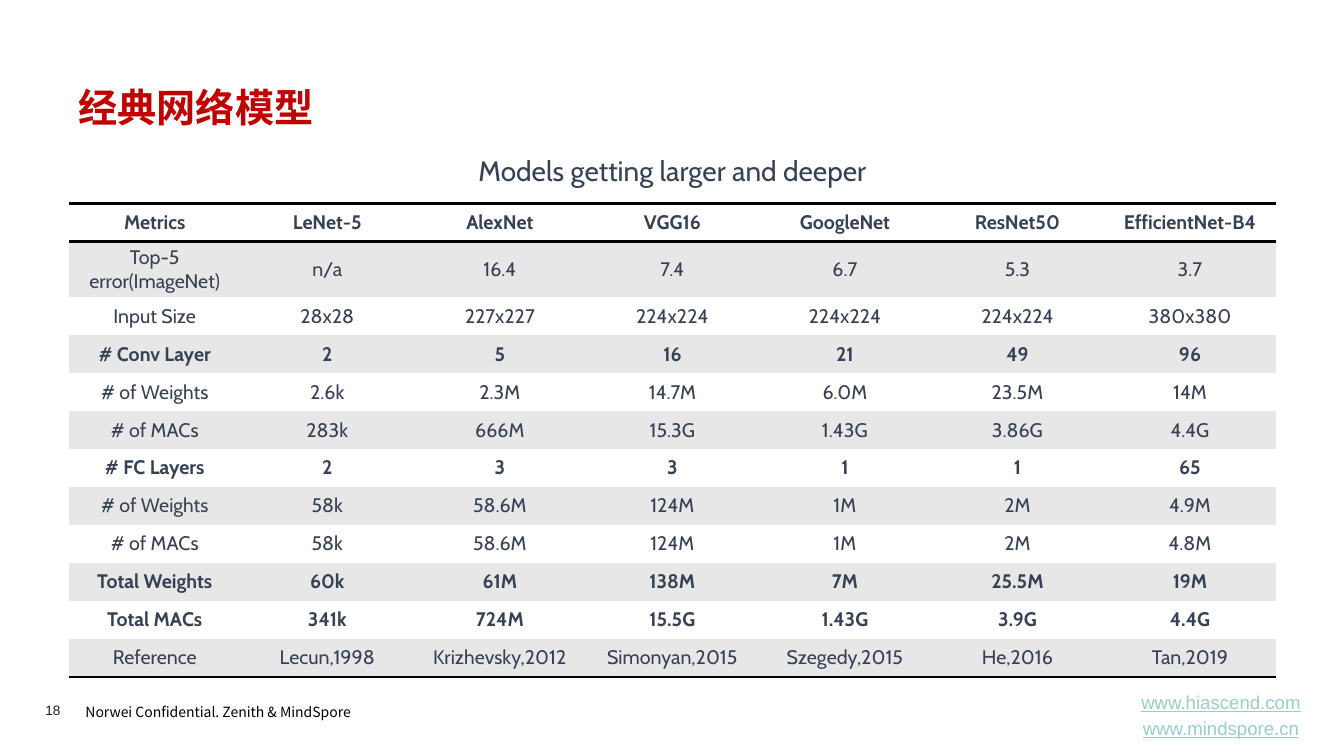
from lxml import etree
from pptx import Presentation
from pptx.dml.color import RGBColor
from pptx.enum.text import MSO_ANCHOR as Anchor, MSO_AUTO_SIZE as AutoSize, PP_ALIGN as Align
from pptx.oxml.ns import qn
from pptx.util import Inches, Pt

INK, BLACK = "374154", "000000"
NO_STYLE = "{2D5ABB26-0587-4C30-8999-92F81FD0307C}"
LEFT, WIDTH = 0.68, 11.99

METRICS = [
    ["Metrics", "LeNet-5", "AlexNet", "VGG16", "GoogleNet", "ResNet50", "EfficientNet-B4"],
    ["Top-5 error(ImageNet)", "n/a", "16.4", "7.4", "6.7", "5.3", "3.7"],
    ["Input Size", "28x28", "227x227", "224x224", "224x224", "224x224", "380x380"],
    ["# Conv Layer", "2", "5", "16", "21", "49", "96"],
    ["# of Weights", "2.6k", "2.3M", "14.7M", "6.0M", "23.5M", "14M"],
    ["# of MACs", "283k", "666M", "15.3G", "1.43G", "3.86G", "4.4G"],
    ["# FC Layers", "2", "3", "3", "1", "1", "65"],
    ["# of Weights", "58k", "58.6M", "124M", "1M", "2M", "4.9M"],
    ["# of MACs", "58k", "58.6M", "124M", "1M", "2M", "4.8M"],
    ["Total Weights", "60k", "61M", "138M", "7M", "25.5M", "19M"],
    ["Total MACs", "341k", "724M", "15.5G", "1.43G", "3.9G", "4.4G"],
    ["Reference", "Lecun,1998", "Krizhevsky,2012", "Simonyan,2015", "Szegedy,2015", "He,2016", "Tan,2019"],
]
BOLD_ROWS = {"Metrics", "# Conv Layer", "# FC Layers", "Total Weights", "Total MACs"}
RULES = {0: ["a:lnT", "a:lnB"], len(METRICS) - 1: ["a:lnB"]}


def style(paragraph, font_name, size, color, bold=False, align=Align.LEFT):
    paragraph.alignment = align
    font = paragraph.font
    font.name, font.size, font.bold = font_name, Pt(size), bold
    font.color.rgb = RGBColor.from_string(color)


def add_rule(cell, side):
    """Draw a 2 pt black border on one side of a cell that is already filled."""
    props = cell._tc.get_or_add_tcPr()
    line = etree.Element(qn(side), w=str(Pt(2)))
    fill = etree.SubElement(line, qn("a:solidFill"))
    etree.SubElement(fill, qn("a:srgbClr"), val=BLACK)
    props.insert(len(props) - 1, line)


prs = Presentation()
prs.slide_width, prs.slide_height = Inches(13.34), Inches(7.5)
slide = prs.slides.add_slide(prs.slide_layouts[1])

# Title and subtitle
title, subtitle = slide.shapes.title, slide.placeholders[1]
for holder, top, text, anchor in [
    (title, 0.74, "经典网络模型", Anchor.MIDDLE),
    (subtitle, 1.31, "Models getting larger and deeper", Anchor.TOP),
]:
    holder.left, holder.top = Inches(LEFT), Inches(top)
    holder.width, holder.height = Inches(WIDTH), Inches(0.64)
    frame = holder.text_frame
    frame.text = text
    frame.auto_size, frame.vertical_anchor = AutoSize.NONE, anchor

style(title.text_frame.paragraphs[0], "Quicksand", 28, "C00000", bold=True)
tagline = subtitle.text_frame.paragraphs[0]
tagline_props = tagline._p.get_or_add_pPr()
tagline_props.set("marL", "0")
tagline_props.set("indent", "0")
etree.SubElement(tagline_props, qn("a:buNone"))
tagline.line_spacing, tagline.space_before = 1.5, Pt(0)
style(tagline, "Cabin", 20, INK, align=Align.CENTER)

# Comparison of the models
table_frame = slide.shapes.add_table(
    len(METRICS), len(METRICS[0]), Inches(LEFT), Inches(2.02), Inches(WIDTH), Inches(4.7))
table_frame._element.find(".//" + qn("a:tableStyleId")).text = NO_STYLE
table = table_frame.table
table.first_row = table.horz_banding = False
for r, values in enumerate(METRICS):
    table.rows[r].height = Inches(0.55 if r == 1 else 0.377)
    for c, value in enumerate(values):
        cell = table.cell(r, c)
        cell.text = value
        cell.vertical_anchor = Anchor.MIDDLE
        cell.margin_top = cell.margin_bottom = Inches(0.03)
        cell.fill.solid()
        cell.fill.fore_color.rgb = RGBColor.from_string("E7E7E7" if r % 2 else "FFFFFF")
        style(cell.text_frame.paragraphs[0], "Cabin", 14, INK, values[0] in BOLD_ROWS, Align.CENTER)
        for side in RULES.get(r, []):
            add_rule(cell, side)

# Footer
footer = slide.shapes.add_textbox(Inches(0.75), Inches(6.9), Inches(3.13), Inches(0.29)).text_frame
footer.word_wrap = True
footer.text = "Norwei Confidential. Zenith & MindSpore"
footer.paragraphs[0].line_spacing = 1.2
style(footer.paragraphs[0], "Noto Sans CJK SC", 10, BLACK)

page = slide.shapes.add_textbox(Inches(0.45), Inches(6.96), Inches(0.55), Inches(0.16)).text_frame
page.word_wrap = True
page.margin_left = page.margin_top = page.margin_right = page.margin_bottom = 0
page.text = "18"
style(page.paragraphs[0], "Arial", 9.7, "1D1D1B")

sites = slide.shapes.add_textbox(Inches(11.04), Inches(6.88), Inches(2.16), Inches(0.43)).text_frame
sites.word_wrap, sites.vertical_anchor = True, Anchor.MIDDLE
sites.text = "www.hiascend.com\nwww.mindspore.cn"
for site in sites.paragraphs:
    style(site, "Arial", 13.3, "99CCCC", align=Align.CENTER)
    site.font.underline = True
sites.paragraphs[1].space_before = Pt(2.7)

prs.save("out.pptx")
